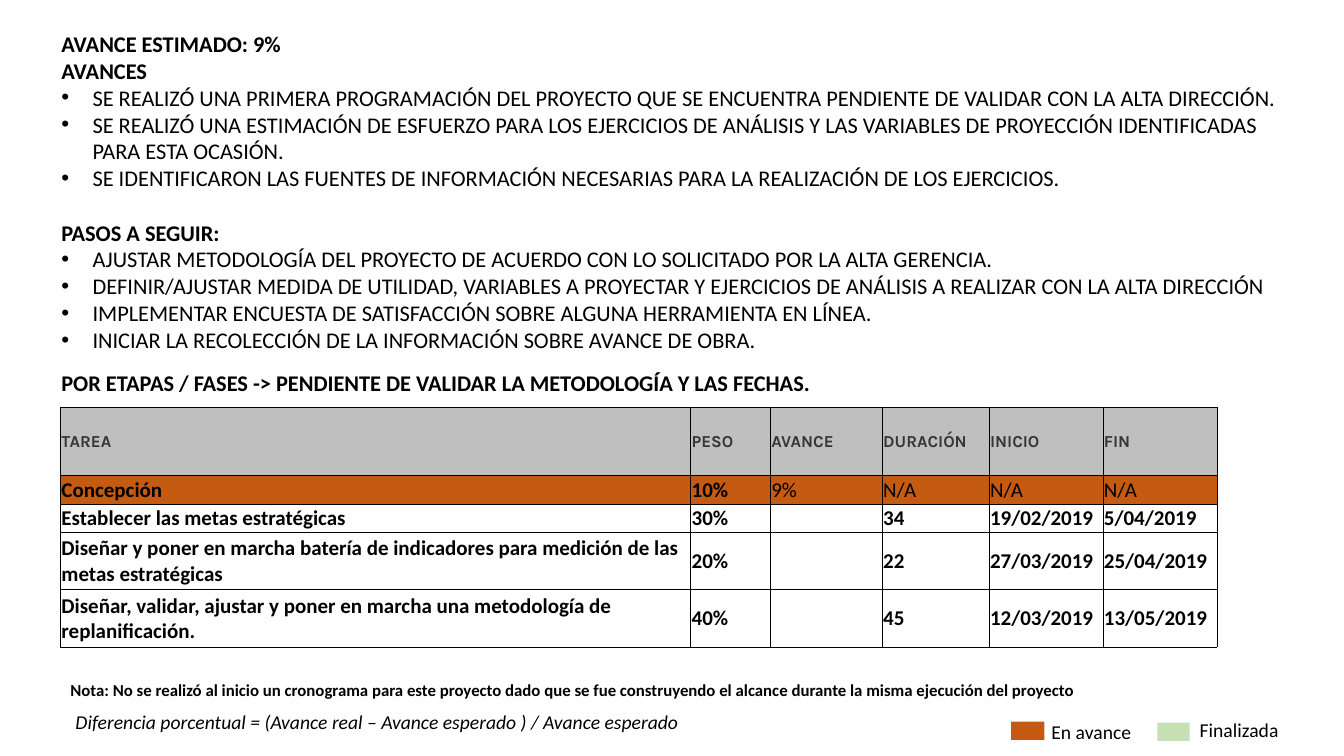
"""Build the project progress slide with its task table and legend."""
from pptx import Presentation
from pptx.util import Inches, Pt
from pptx.dml.color import RGBColor
from pptx.enum.shapes import MSO_SHAPE
from pptx.enum.text import MSO_ANCHOR, MSO_AUTO_SIZE
from lxml.etree import SubElement
from pptx.oxml.ns import qn

COLORS = {"text": "000000", "head": "363636", "gray": "BFBFBF",
          "stage": "C55A11", "active": "C65911", "done": "C6E0B4"}


def add_run(para, text, size, bold=False, italic=False, font="Calibri", color="text"):
    run = para.add_run()
    run.text = text
    run.font.size = Pt(size)
    run.font.bold = bold
    run.font.italic = italic
    run.font.name = font
    run.font.color.rgb = RGBColor.from_string(COLORS[color])


def add_box(left, top, width, height, wrap=True):
    box = slide.shapes.add_textbox(Inches(left), Inches(top), Inches(width), Inches(height))
    frame = box.text_frame
    frame.word_wrap = wrap
    frame.auto_size = MSO_AUTO_SIZE.SHAPE_TO_FIT_TEXT
    return frame


deck = Presentation()
deck.slide_width = Inches(13.33)
deck.slide_height = Inches(7.5)
slide = deck.slides.add_slide(deck.slide_layouts[6])

sections = [
    ("AVANCE ESTIMADO: 9%", []),
    ("AVANCES", [
        "SE REALIZÓ UNA PRIMERA PROGRAMACIÓN DEL PROYECTO QUE SE ENCUENTRA PENDIENTE DE VALIDAR CON LA ALTA DIRECCIÓN.",
        "SE REALIZÓ UNA ESTIMACIÓN DE ESFUERZO PARA LOS EJERCICIOS DE ANÁLISIS Y LAS VARIABLES DE PROYECCIÓN IDENTIFICADAS PARA ESTA OCASIÓN.",
        "SE IDENTIFICARON LAS FUENTES DE INFORMACIÓN NECESARIAS PARA LA REALIZACIÓN DE LOS EJERCICIOS.",
    ]),
    ("PASOS A SEGUIR:", [
        "AJUSTAR METODOLOGÍA DEL PROYECTO DE ACUERDO CON LO SOLICITADO POR LA ALTA GERENCIA.",
        "DEFINIR/AJUSTAR MEDIDA DE UTILIDAD, VARIABLES A PROYECTAR Y EJERCICIOS DE ANÁLISIS A REALIZAR CON LA ALTA DIRECCIÓN",
        "IMPLEMENTAR ENCUESTA DE SATISFACCIÓN SOBRE ALGUNA HERRAMIENTA EN LÍNEA.",
        "INICIAR LA RECOLECCIÓN DE LA INFORMACIÓN SOBRE AVANCE DE OBRA.",
    ]),
]
body = add_box(0.51, 0.25, 12.31, 3.33)
para = body.paragraphs[0]
for title, points in sections:
    if title != sections[0][0]:
        para = body.add_paragraph()
    if title == "PASOS A SEGUIR:":
        para.space_before = Pt(19.5)
    add_run(para, title, 16, bold=True)
    for point in points:
        para = body.add_paragraph()
        props = para._p.get_or_add_pPr()
        props.set("marL", str(Inches(0.31)))
        props.set("indent", str(-Inches(0.31)))
        SubElement(props, qn("a:buFont")).set("typeface", "Arial")
        SubElement(props, qn("a:buChar")).set("char", "•")
        add_run(para, point, 16)

phases = add_box(0.51, 3.61, 7.68, 0.37, wrap=False)
add_run(phases.paragraphs[0], "POR ETAPAS / FASES -> PENDIENTE DE VALIDAR LA METODOLOGÍA Y LAS FECHAS.", 16, bold=True)

legend = [
    ("En avance", "active", 10.03, 7.16, 0.33, 10.33, 7.09, 1),
    ("Finalizada", "done", 11.48, 7.17, 0.32, 11.8, 7.07, 1.02),
]
for label, color, left, top, width, text_left, text_top, text_width in legend:
    key = slide.shapes.add_shape(MSO_SHAPE.RECTANGLE, Inches(left), Inches(top), Inches(width), Inches(0.18))
    key.shadow.inherit = False
    key.fill.solid()
    key.fill.fore_color.rgb = RGBColor.from_string(COLORS[color])
    key.line.fill.background()
    add_run(add_box(text_left, text_top, text_width, 0.34).paragraphs[0], label, 14)

formula = add_box(0.65, 6.99, 6.21, 0.34)
add_run(formula.paragraphs[0], "Diferencia porcentual = (Avance real – Avance esperado ) / Avance esperado", 14, italic=True)

tasks = [
    ("TAREA", "PESO", "AVANCE", "DURACIÓN", "INICIO", "FIN"),
    ("Concepción", "10%", "9%", "N/A", "N/A", "N/A"),
    ("Establecer las metas estratégicas", "30%", "", "34", "19/02/2019", "5/04/2019"),
    ("Diseñar y poner en marcha batería de indicadores para medición de las metas estratégicas",
     "20%", "", "22", "27/03/2019", "25/04/2019"),
    ("Diseñar, validar, ajustar y poner en marcha una metodología de replanificación.",
     "40%", "", "45", "12/03/2019", "13/05/2019"),
]
widths = [6.25, 0.79, 1.11, 1.06, 1.13, 1.13]
heights = [0.68, 0.28, 0.28, 0.57, 0.57]
fills = {0: "gray", 1: "stage"}
table = slide.shapes.add_table(len(tasks), len(widths), Inches(0.6), Inches(4.04),
                               Inches(sum(widths)), Inches(sum(heights))).table
table.first_row = False
table.horz_banding = False
for col, width in zip(table.columns, widths):
    col.width = Inches(width)
for r, task in enumerate(tasks):
    table.rows[r].height = Inches(heights[r])
    for c, text in enumerate(task):
        cell = table.cell(r, c)
        cell.vertical_anchor = MSO_ANCHOR.MIDDLE
        cell.margin_left = cell.margin_right = cell.margin_top = Inches(0.01)
        cell.margin_bottom = 0
        props = cell._tc.get_or_add_tcPr()
        for side in ("lnL", "lnR", "lnT", "lnB"):
            line = SubElement(props, qn(f"a:{side}"))
            line.set("w", str(Pt(0.5)))
            paint = SubElement(line, qn("a:solidFill"))
            SubElement(paint, qn("a:srgbClr")).set("val", COLORS["text"])
        if r in fills:
            cell.fill.solid()
            cell.fill.fore_color.rgb = RGBColor.from_string(COLORS[fills[r]])
        else:
            cell.fill.background()
        para = cell.text_frame.paragraphs[0]
        if r == 0:
            add_run(para, text, 12, bold=True, font="Karla", color="head")
        elif text:
            add_run(para, text, 15, bold=r > 1 or c < 2)
        else:
            SubElement(para._p, qn("a:endParaRPr")).set("sz", "1500")

note = add_box(0.6, 6.69, 12.02, 0.3)
add_run(note.paragraphs[0], "Nota: No se realizó al inicio un cronograma para este proyecto dado que se fue "
        "construyendo el alcance durante la misma ejecución del proyecto", 12, bold=True)

deck.save("out.pptx")
